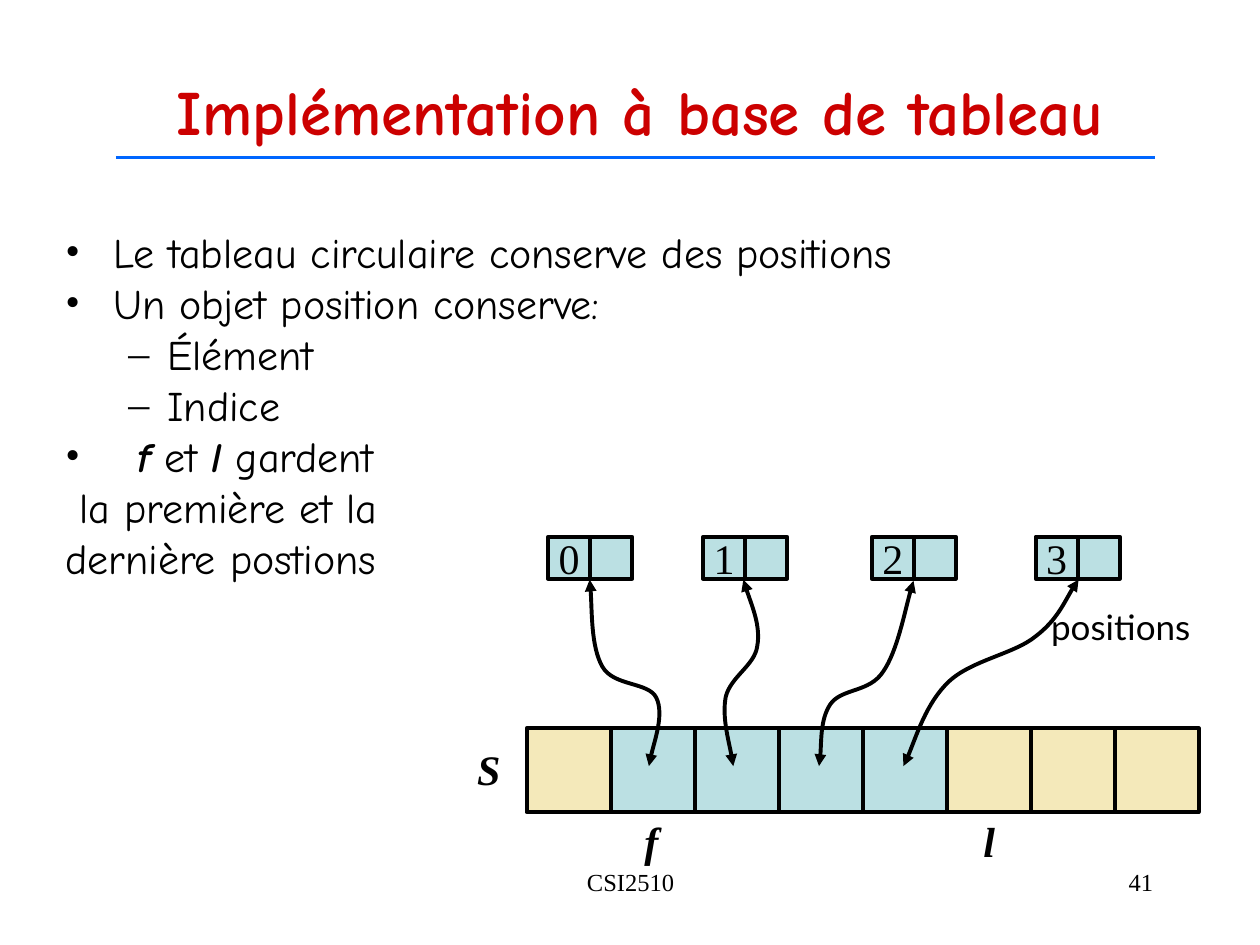
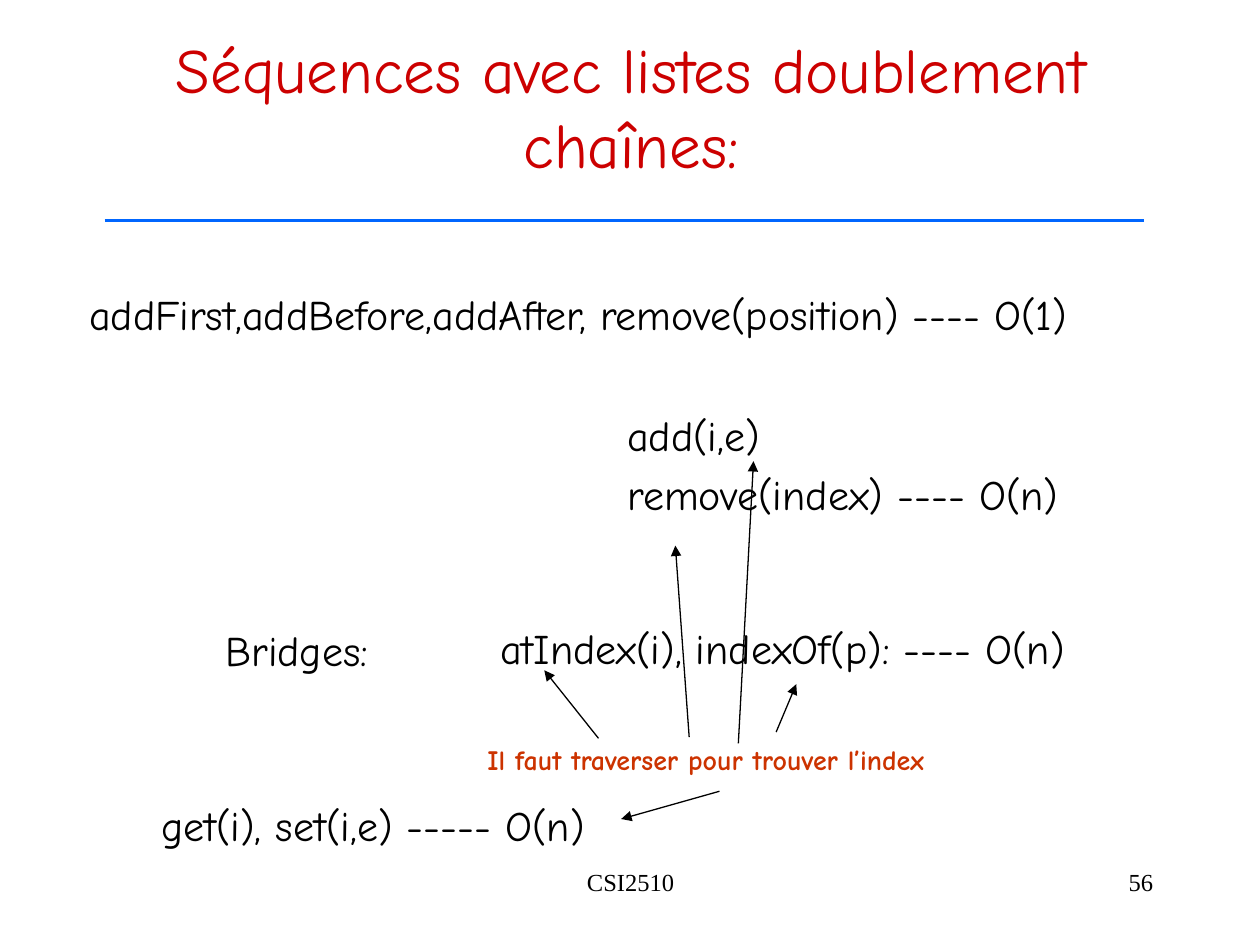
from lxml import etree
from pptx import Presentation
from pptx.dml.color import RGBColor
from pptx.enum.shapes import MSO_CONNECTOR as CONN, MSO_SHAPE as SHAPE
from pptx.enum.text import MSO_ANCHOR as ANCHOR, MSO_AUTO_SIZE as AUTO, PP_ALIGN as ALIGN
from pptx.oxml.ns import qn
from pptx.util import Inches, Pt

COLORS = {"ink": "000000", "title": "CC0000", "rule": "0066FF", "note": "CC3300",
          "used": "BBE0E3", "free": "F4E9BA"}
COMIC, LATO, TIMES = "Comic Neue", "Lato", "Times New Roman"
BOLD_ITALIC = {"bold": True, "italic": True}
CELL, HALF = 2 / 3, 1 / 3


class Deck:
    """Hold the shared style and the current slide."""

    def __init__(self):
        self.prs = Presentation()
        self.prs.slide_width, self.prs.slide_height = Inches(10), Inches(7.5)
        self.slide = None

    def color(self, name):
        return RGBColor.from_string(COLORS[name])

    def start(self, title, box, rule, number, **fmt):
        self.slide = self.prs.slides.add_slide(self.prs.slide_layouts[5])
        sp = self.slide.shapes.title
        sp.left, sp.top, sp.width, sp.height = map(Inches, box)
        tf = sp.text_frame
        self.frame(tf, anchor=ANCHOR.MIDDLE)
        self.add_runs(tf.paragraphs[0], [(title, {})], ALIGN.CENTER, size=36, color="title", **fmt)
        x, y = rule
        self.line((x, y), (x + 8.25, y), "rule", 2)
        footer = {"size": 14, "font": TIMES}
        self.text("CSI2510", (3.42, 6.83, 3.17, 0.5), align=ALIGN.CENTER, **footer)
        self.text(number, (7.17, 6.83, 2.08, 0.5), align=ALIGN.RIGHT, **footer)

    def frame(self, tf, wrap=True, anchor=ANCHOR.TOP, inset=True):
        tf.word_wrap, tf.auto_size, tf.vertical_anchor = wrap, AUTO.NONE, anchor
        tf.margin_left = tf.margin_right = Inches(0.1 if inset else 0)
        tf.margin_top = tf.margin_bottom = Inches(0.05 if inset else 0)

    def add_runs(self, p, runs, align=ALIGN.LEFT, size=24, font=COMIC, color="ink", **fmt):
        p.alignment = align
        for text, extra in runs:
            r = p.add_run()
            r.text = text
            style = {"size": Pt(size), "name": font, "bold": False, "italic": False}
            for key, value in {**style, **fmt, **extra}.items():
                setattr(r.font, key, value)
            r.font.color.rgb = self.color(color)

    def text(self, text, box, wrap=True, inset=True, spacing=1.0, **fmt):
        tf = self.slide.shapes.add_textbox(*map(Inches, box)).text_frame
        self.frame(tf, wrap, inset=inset)
        for i, line in enumerate(text.split("\n")):
            p = tf.paragraphs[0] if i == 0 else tf.add_paragraph()
            p.line_spacing = spacing
            self.add_runs(p, [(line, {})], **fmt)

    def bullets(self, items, box):
        tf = self.slide.shapes.add_textbox(*map(Inches, box)).text_frame
        self.frame(tf)
        for i, (mark, left, hang, runs) in enumerate(items):
            p = tf.paragraphs[0] if i == 0 else tf.add_paragraph()
            pPr = p._p.get_or_add_pPr()
            pPr.set("marL", str(Inches(left)))
            pPr.set("indent", str(-Inches(hang)))
            if mark:
                etree.SubElement(pPr, qn("a:buFont")).set("typeface", TIMES)
                etree.SubElement(pPr, qn("a:buChar")).set("char", mark)
            p.line_spacing, p.space_before = 0.8, Pt(6 if i else 0)
            self.add_runs(p, runs)

    def cell(self, x, y, side, fill, text=""):
        sp = self.slide.shapes.add_shape(SHAPE.RECTANGLE, *map(Inches, (x, y, side, side)))
        sp.shadow.inherit = False
        sp.fill.solid()
        sp.fill.fore_color.rgb = self.color(fill)
        self.outline(sp, "ink", 2.25)
        if text:
            self.frame(sp.text_frame, False, ANCHOR.MIDDLE)
            self.add_runs(sp.text_frame.paragraphs[0], [(text, {})], ALIGN.CENTER, font=TIMES)

    def outline(self, sp, color, width, ends=()):
        sp.line.color.rgb = self.color(color)
        sp.line.width = Pt(width)
        for end in ends:
            etree.SubElement(sp.line._get_or_add_ln(), qn(f"a:{end}")).set("type", "triangle")

    def line(self, start, end, color="ink", width=0.75, ends=()):
        sp = self.slide.shapes.add_connector(CONN.STRAIGHT, *map(Inches, start + end))
        self.outline(sp, color, width, ends)
        etree.SubElement(sp._element.spPr, qn("a:effectLst"))

    def curve(self, points):
        points = [(Inches(x), Inches(y)) for x, y in points]
        builder = self.slide.shapes.build_freeform(*points[0])
        builder.add_line_segments(points[1:], close=False)
        sp = builder.convert_to_shape()
        segments = list(sp._element.iter(qn("a:lnTo")))
        for i in range(0, len(segments), 3):
            bezier = etree.Element(qn("a:cubicBezTo"))
            segments[i].addprevious(bezier)
            for segment in segments[i:i + 3]:
                bezier.append(segment[0])
                segment.getparent().remove(segment)
        sp.shadow.inherit = False
        sp.fill.background()
        self.outline(sp, "ink", 2.25, ("headEnd", "tailEnd"))


def array_slide(deck):
    deck.start("Implémentation à base de tableau", (0.83, 0.25, 8.5, 1.25), (0.92, 1.25),
               "41", bold=True)
    deck.bullets([
        ("•", 0.38, 0.38, [("Le tableau circulaire conserve des positions", {})]),
        ("•", 0.38, 0.38, [("Un objet position conserve:", {})]),
        ("–", 0.81, 0.31, [("Élément", {})]),
        ("–", 0.81, 0.31, [("Indice", {})]),
        ("•", 0.57, 0.57, [("f", BOLD_ITALIC), (" et ", {}), ("l", BOLD_ITALIC),
                           (" gardent", {})]),
        ("", 0.11, 0, [("la première et la", {})]),
        ("", 0, 0, [("dernière postions", {})]),
    ], (0.42, 1.83, 8.92, 5))

    for i in range(8):
        deck.cell(4.18 + i * CELL, 5.78, CELL, "used" if 1 <= i <= 4 else "free")
    for i, x in enumerate((4.35, 5.58, 6.92, 8.22)):
        deck.cell(x, 4.26, HALF, "used", str(i))
        deck.cell(x + HALF, 4.26, HALF, "used")

    for points in (
        [(5.15, 6.08), (5.16, 5.99), (5.27, 5.67), (5.21, 5.54), (5.15, 5.41),
         (4.87, 5.45), (4.78, 5.29), (4.69, 5.13), (4.7, 4.74), (4.68, 4.6)],
        [(5.82, 6.08), (5.81, 5.99), (5.73, 5.69), (5.76, 5.53), (5.8, 5.37),
         (5.99, 5.28), (6.01, 5.13), (6.04, 4.97), (5.93, 4.71), (5.9, 4.6)],
        [(6.5, 6.08), (6.52, 6), (6.51, 5.71), (6.59, 5.59), (6.68, 5.46),
         (6.9, 5.5), (7.01, 5.33), (7.12, 5.17), (7.2, 4.76), (7.25, 4.61)],
        [(7.17, 6.08), (7.23, 5.97), (7.35, 5.58), (7.53, 5.41), (7.71, 5.24),
         (8.05, 5.19), (8.22, 5.05), (8.39, 4.92), (8.49, 4.69), (8.56, 4.6)],
    ):
        deck.curve(points)

    deck.text("positions", (8.2, 4.76, 1.39, 0.44), wrap=False, align=ALIGN.CENTER,
              size=20, font=LATO)
    for name, x, y in (("S", 3.72, 5.9), ("l", 7.69, 6.47), ("f", 5.01, 6.47)):
        deck.text(name, (x, y, 0.32, 0.4), inset=False, align=ALIGN.CENTER, font=TIMES,
                  **BOLD_ITALIC)


def list_slide(deck):
    deck.start("Séquences avec listes doublement chaînes:", (0.76, 0.19, 8.5, 1.3),
               (0.83, 1.75), "56", bold=False)
    for text, box in (
        ("addFirst,addBefore,addAfter, remove(position) ---- O(1)", (0.61, 2.18, 8.22, 0.57)),
        ("add(i,e)\nremove(index) ---- O(n)", (4.88, 3.14, 3.64, 1.03)),
        ("Bridges:", (1.69, 4.84, 1.84, 0.57)),
        ("atIndex(i), indexOf(p): ---- O(n)", (3.87, 4.83, 4.68, 0.57)),
        ("get(i), set(i,e) ----- O(n)", (1.18, 6.23, 3.56, 0.57)),
    ):
        deck.text(text, box, wrap=False, spacing=1.16)
    deck.text("Il faut traverser pour trouver l’index", (3.77, 5.8, 3.69, 0.41), wrap=False,
              spacing=1.16, size=16, color="note", bold=True)
    for start, end in (
        ((6.16, 5.81), (6.32, 5.43)),
        ((5.47, 5.85), (5.36, 4.33)),
        ((4.75, 5.86), (4.32, 5.32)),
        ((5.71, 6.28), (4.93, 6.5)),
        ((5.86, 5.9), (5.98, 3.66)),
    ):
        deck.line(start, end, ends=("tailEnd",))


def main():
    deck = Deck()
    array_slide(deck)
    list_slide(deck)
    deck.prs.save("out.pptx")


if __name__ == "__main__":
    main()
